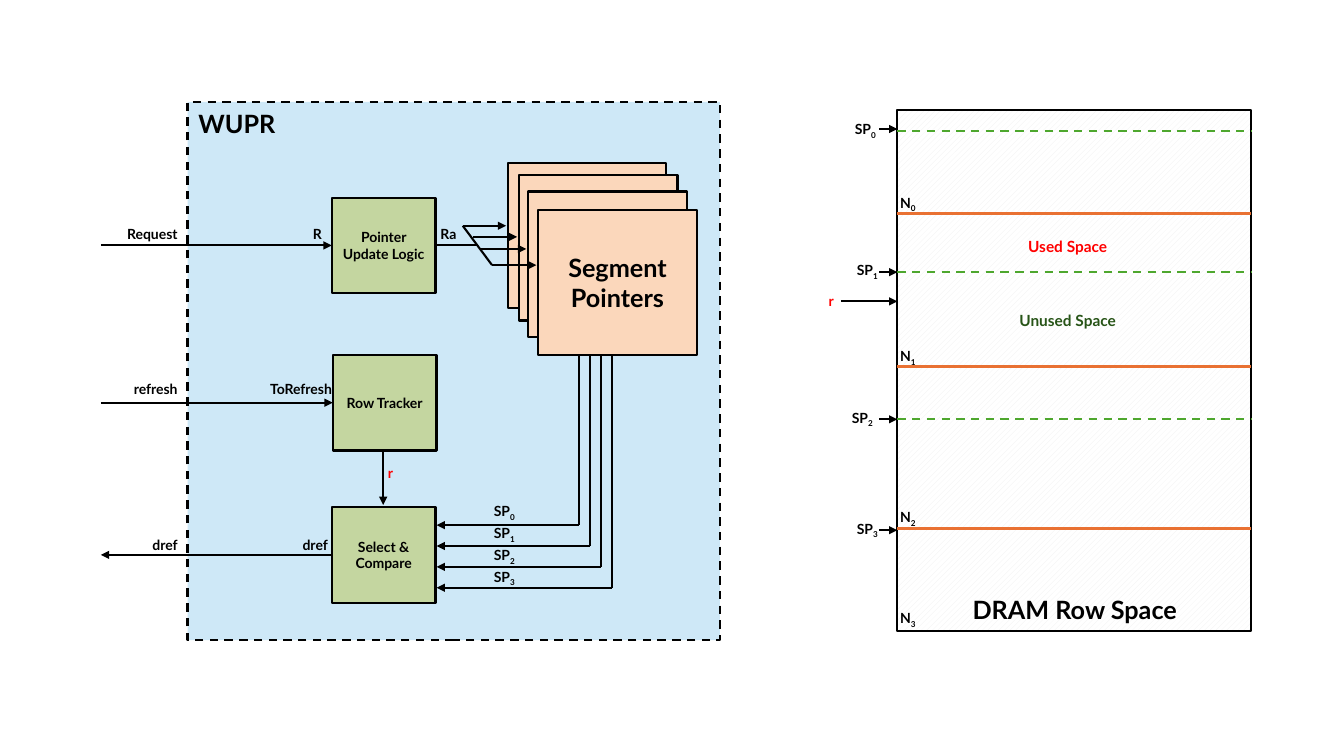
from lxml.etree import SubElement
from pptx import Presentation
from pptx.dml.color import RGBColor as RGB
from pptx.enum.dml import MSO_LINE as Dash, MSO_PATTERN as Pattern
from pptx.enum.shapes import MSO_CONNECTOR as Conn, MSO_SHAPE as Shape
from pptx.enum.text import MSO_ANCHOR as Anchor, PP_ALIGN as Align
from pptx.oxml.ns import qn
from pptx.util import Inches, Pt

COLS, ROWS, CELL = 133.3, 75, Inches(0.1)

THEME = {
    "font": "Lato",
    "ink": "000000", "panel": "CEE8F7", "card": "FBD7BB", "stage": "C4D6A0",
    "hatch": "F0F0F0", "paper": "FFFFFF", "limit": "E97132", "pointer": "4EA72E",
    "used": "FF0000", "unused": "275417",
    "small": 10, "medium": 11, "large": 18, "thin": 1.5, "thick": 2,
}

WUPR = (18.6, 10.1, 52.8, 53.4)
DRAM = (89, 10.9, 35.1, 51.7)
PORT_X = 10
STAGE_SIZE = (10.3, 9.5)
CARD_SIZE = (15.7, 14.4)
LABEL_H = 2.7

STAGES = [
    {"name": "Pointer Update Logic", "at": (32.9, 19.6), "port": "Request",
     "signal": "R", "signal_right": 32.9, "label_top": 21.9, "out": False},
    {"name": "Row Tracker", "at": (33, 35.2), "port": "refresh",
     "signal": "ToRefresh", "signal_right": 33.9, "label_top": 37.3, "out": False},
    {"name": "Select & Compare", "at": (32.9, 50.3), "port": "dref",
     "signal": "dref", "signal_right": 33.5, "label_top": 52.7, "out": True},
]
CARDS = [
    {"at": (50.4, 16.2), "fan": (45.9, 22.4), "name": ""},
    {"at": (51.5, 17.4), "fan": (46.9, 23.5), "name": ""},
    {"at": (52.4, 19), "fan": (47.7, 24.7), "name": ""},
    {"at": (53.4, 20.8), "fan": (48.8, 26.3), "name": "Segment Pointers"},
]
SEGMENTS = [
    {"start": 13, "arrow": 12.8, "label_x": 83.8, "end": 21.2, "dashed": True},
    {"start": 27, "arrow": 27, "label_x": 84, "end": 36.4, "dashed": True},
    {"start": 41.6, "arrow": 41.6, "label_x": 83.5, "end": 52.4, "dashed": True},
    {"start": 52.6, "arrow": 52.6, "label_x": 84, "end": 62.4, "dashed": False},
]
NOTES = [
    ("WUPR", (17, 10.3, 13, 4), "large", "ink", Align.CENTER),
    ("DRAM Row Space", (94.9, 58.5, 23.4, 4), "large", "ink", Align.CENTER),
    ("Used Space", (94.2, 23, 23.4, 2.9), "medium", "used", Align.CENTER),
    ("Unused Space", (94.2, 30.4, 23.4, 2.9), "medium", "unused", Align.CENTER),
    ("r", (81.2, 28.5, 3, LABEL_H), "small", "used", Align.LEFT),
    ("r", (37.5, 45.6, 3, LABEL_H), "small", "used", Align.LEFT),
    ("Ra", (42.7, 21.9, 7.1, LABEL_H), "small", "ink", Align.LEFT),
]
BUS = {"x": 57.4, "y": 52.1, "dx": 1.1, "dy": 2.07,
       "label": (48, 49.4), "label_dy": 2.17, "end": 43.3}

prs = Presentation()
prs.slide_width, prs.slide_height = int(COLS * CELL), ROWS * CELL
s = prs.slides.add_slide(prs.slide_layouts[6])


def grid(*cells):
    return [int(c * CELL) for c in cells]


def color(name):
    return RGB.from_string(THEME[name])


def assign(target, values):
    for name, value in values.items():
        setattr(target, name, value)


def write(sp, text, sub="", size="small", ink="ink", align=Align.CENTER, **frame):
    tf = sp.text_frame
    assign(tf, {"word_wrap": True, **frame})
    p = tf.paragraphs[0]
    p.alignment = align
    for part in filter(None, (text, sub)):
        r = p.add_run()
        r.text = part
        assign(r.font, {"name": THEME["font"], "size": Pt(THEME[size]), "bold": True})
        r.font.color.rgb = color(ink)
        if part == sub:
            r._r.get_or_add_rPr().set("baseline", "-25000")


def label(text, box, sub="", size="small", ink="ink", align=Align.LEFT):
    write(s.shapes.add_textbox(*grid(*box)), text, sub, size, ink, align)


def box(at, fill, text="", size="small", dash=None):
    sp = s.shapes.add_shape(Shape.RECTANGLE, *grid(*at))
    sp.shadow.inherit = False
    if fill == "hatch":
        sp.fill.patterned()
        sp.fill.pattern = Pattern.WIDE_UPWARD_DIAGONAL
        sp.fill.fore_color.rgb = color("hatch")
        sp.fill.back_color.rgb = color("paper")
    else:
        sp.fill.solid()
        sp.fill.fore_color.rgb = color(fill)
    sp.line.color.rgb = color("ink")
    assign(sp.line, {"width": Pt(THEME["thin"]), "dash_style": dash})
    if text:
        write(sp, text, size=size, vertical_anchor=Anchor.MIDDLE,
              margin_left=Inches(0.08), margin_right=Inches(0.08))


def line(x1, y1, x2, y2, ink="ink", width="thin", dash=None, arrow=False):
    cn = s.shapes.add_connector(Conn.STRAIGHT, *grid(x1, y1, x2, y2))
    cn.line.color.rgb = color(ink)
    assign(cn.line, {"width": Pt(THEME[width]), "dash_style": dash})
    if arrow:
        SubElement(cn.line._get_or_add_ln(), qn("a:tailEnd"), type="triangle")
    SubElement(cn._element.spPr, qn("a:effectLst"))


def draw_dram():
    left, right = DRAM[0], DRAM[0] + DRAM[2]
    box(DRAM, "hatch")
    for i, seg in enumerate(SEGMENTS):
        if i < len(SEGMENTS) - 1:
            line(left, seg["end"], right, seg["end"], "limit", "thick")
        if seg["dashed"]:
            line(left, seg["start"], right, seg["start"], "pointer", dash=Dash.DASH)
        line(left - 1.8, seg["arrow"], left, seg["arrow"], arrow=True)
        label("N", (left - 0.7, seg["end"] - 2.4, 4, LABEL_H), str(i))
        label("SP", (seg["label_x"], seg["start"] - 1.5, 5.3, LABEL_H), str(i))
    line(left - 5.6, 29.9, left, 29.9, arrow=True)


def draw_wupr():
    box(WUPR, "panel", dash=Dash.DASH)
    for card in CARDS:
        box((*card["at"], *CARD_SIZE), "card", card["name"], "large")
    for stage in STAGES:
        x, y = stage["at"]
        box((x, y, *STAGE_SIZE), "stage", stage["name"])
        mid = y + STAGE_SIZE[1] / 2
        ends = (x, PORT_X) if stage["out"] else (PORT_X, x)
        line(ends[0], mid, ends[1], mid, arrow=True)
        for text, edge in ((stage["port"], WUPR[0]),
                           (stage["signal"], stage["signal_right"])):
            label(text, (edge - 10, stage["label_top"], 10, LABEL_H), align=Align.RIGHT)
    line(*CARDS[0]["fan"], *CARDS[-1]["fan"])
    line(43.3, 24.3, 47.4, 24.3)
    line(38, 44.7, 38, 50.1, arrow=True)
    bottom = CARDS[-1]["at"][1] + CARD_SIZE[1]
    for i, card in enumerate(CARDS):
        x, y = card["fan"]
        line(x, y, card["at"][0] - 0.2, y, arrow=True)
        x, y = BUS["x"] + i * BUS["dx"], BUS["y"] + i * BUS["dy"]
        line(x, bottom, x, y)
        line(x, y, BUS["end"], y, arrow=True)
        label_x, label_y = BUS["label"]
        label("SP", (label_x, label_y + i * BUS["label_dy"], 5.3, LABEL_H), str(i))


draw_dram()
draw_wupr()
for text, at, size, ink, align in NOTES:
    label(text, at, size=size, ink=ink, align=align)
prs.save("out.pptx")
